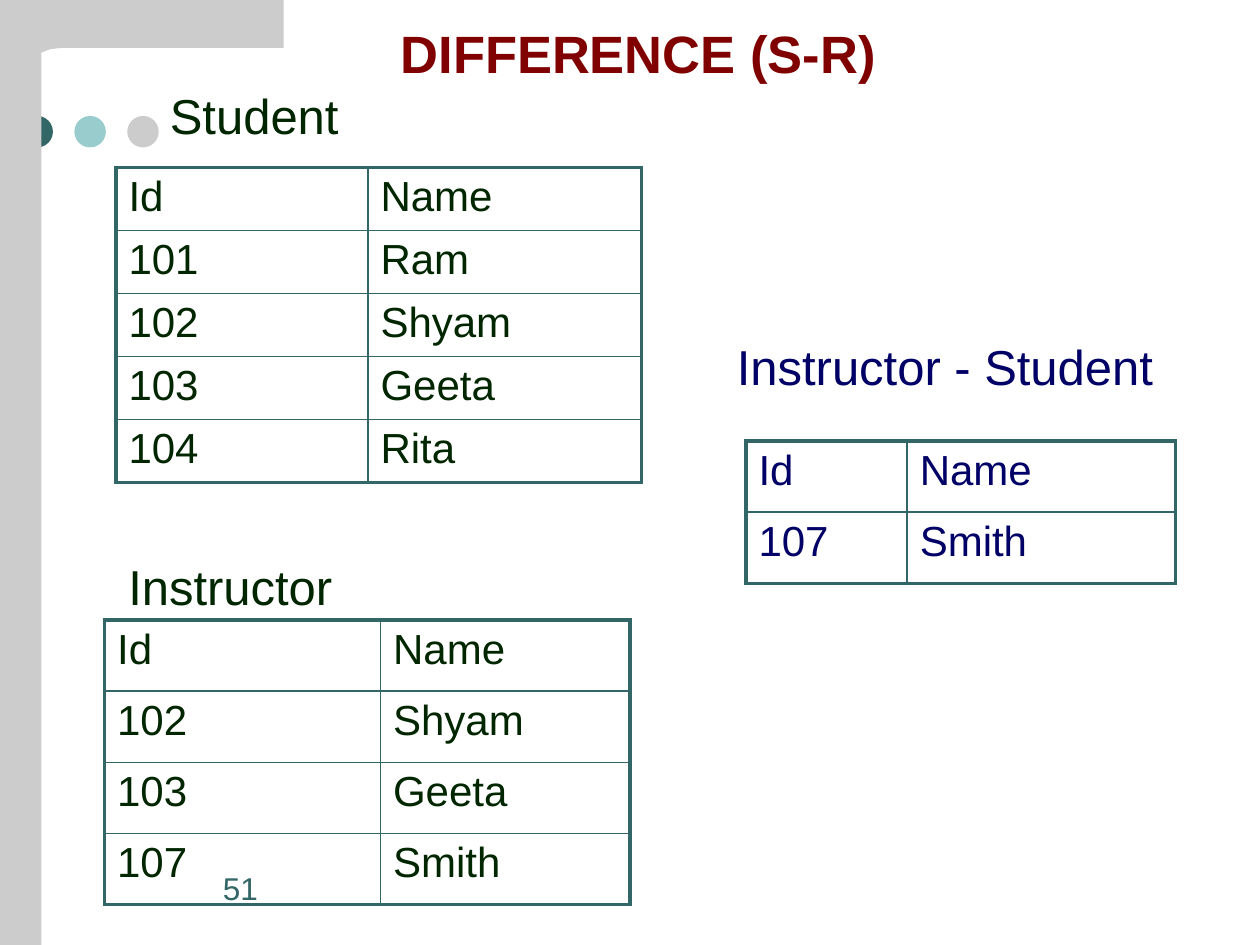
from lxml.etree import SubElement
from pptx import Presentation
from pptx.dml.color import RGBColor
from pptx.enum.shapes import MSO_SHAPE
from pptx.enum.text import MSO_ANCHOR, PP_ALIGN
from pptx.oxml.ns import qn
from pptx.util import Inches, Pt

TEAL, GRAY, GREEN, NAVY, MAROON = "336666", "CCCCCC", "002600", "000066", "800000"

TITLE = ("DIFFERENCE (S-R)", (3.08, 0.12, 4.17, 0.6))
LABELS = [
    ("Student", (1.25, 0.63, 2.64, 0.57), GREEN, 28),
    ("Instructor", (0.92, 4.37, 2.64, 0.57), GREEN, 28),
    ("Instructor - Student", (5.75, 2.62, 3.75, 0.57), NAVY, 28),
    ("51", (1.67, 6.85, 1.42, 0.5), TEAL, 18),
]
HEADER = ("Id", "Name")
TABLES = [
    {"at": (5.92, 3.5), "columns": (1.28, 2.13), "row": 0.565, "color": NAVY,
     "rows": [HEADER, ("107", "Smith")]},
    {"at": (0.92, 1.33), "columns": (2, 2.17), "row": 0.5, "color": GREEN,
     "rows": [HEADER, ("101", "Ram"), ("102", "Shyam"), ("103", "Geeta"), ("104", "Rita")]},
    {"at": (0.83, 4.92), "columns": (2.19, 1.98), "row": 0.565, "color": GREEN,
     "rows": [HEADER, ("102", "Shyam"), ("103", "Geeta"), ("107", "Smith")]},
]
DOT_COLORS = (TEAL, "99CCCC", GRAY)
CORNER = [(2.25, 0), (2.25, 0.38), (0.49, 0.38), (0.4, 0.39), (0.32, 0.42),
          (0.27, 0.47), (0.25, 0.53), (0.25, 0.58), (0, 0.58), (0, 0)]


def rgb(color):
    """Turn a hex string into a color."""
    return RGBColor.from_string(color)


def write(frame, text, size=24, color=GREEN, bold=False):
    """Fill a text frame with one formatted paragraph."""
    frame.word_wrap = True
    frame.vertical_anchor = MSO_ANCHOR.TOP
    paragraph = frame.paragraphs[0]
    paragraph.alignment = PP_ALIGN.LEFT
    run = paragraph.add_run()
    run.text = text
    run.font.name = "Arial"
    run.font.size = Pt(size)
    run.font.bold = bold
    run.font.color.rgb = rgb(color)


def paint(shape, color):
    """Give a shape a flat fill without line or shadow."""
    shape.shadow.inherit = False
    shape.fill.solid()
    shape.fill.fore_color.rgb = rgb(color)
    shape.line.fill.background()


def add_decoration(slide):
    """Draw the dots, the side bar and the rounded corner."""
    for index, color in enumerate(DOT_COLORS):
        box = (0.17 + 0.42 * index, 0.92, 0.25, 0.25)
        paint(slide.shapes.add_shape(MSO_SHAPE.OVAL, *map(Inches, box)), color)
    bar = slide.shapes.add_shape(MSO_SHAPE.RECTANGLE, 0, 0, Inches(0.33), Inches(7.5))
    paint(bar, GRAY)
    builder = slide.shapes.build_freeform(*map(Inches, CORNER[0]))
    builder.add_line_segments([tuple(map(Inches, point)) for point in CORNER[1:]])
    paint(builder.convert_to_shape(), GRAY)


def set_borders(cell, outer):
    """Draw thick outer and thin inner cell borders."""
    properties = cell._tc.get_or_add_tcPr()
    for position, side in enumerate(("lnL", "lnR", "lnT", "lnB")):
        line = SubElement(properties, qn("a:" + side))
        line.set("w", str(Pt(2.25 if side in outer else 1)))
        SubElement(SubElement(line, qn("a:solidFill")), qn("a:srgbClr")).set("val", TEAL)
        properties.remove(line)
        properties.insert(position, line)


def add_grid(slide, at, columns, row, color, rows):
    """Add one bordered table."""
    box = (*at, sum(columns), row * len(rows))
    table = slide.shapes.add_table(len(rows), len(columns), *map(Inches, box)).table
    for column, width in zip(table.columns, columns):
        column.width = Inches(width)
    for row_index, values in enumerate(rows):
        table.rows[row_index].height = Inches(row)
        for column_index, value in enumerate(values):
            cell = table.cell(row_index, column_index)
            cell.fill.background()
            write(cell.text_frame, value, color=color)
            edges = {"lnL": column_index == 0, "lnR": column_index == len(columns) - 1,
                     "lnT": row_index == 0, "lnB": row_index == len(rows) - 1}
            set_borders(cell, [side for side, is_outer in edges.items() if is_outer])


def main():
    """Build and save the slide."""
    presentation = Presentation()
    presentation.slide_width, presentation.slide_height = Inches(10), Inches(7.5)
    slide = presentation.slides.add_slide(presentation.slide_layouts[5])
    add_decoration(slide)
    for table in TABLES:
        add_grid(slide, **table)
    for text, box, color, size in LABELS:
        label = slide.shapes.add_textbox(*map(Inches, box))
        write(label.text_frame, text, size=size, color=color)
    text, box = TITLE
    title = slide.shapes.title
    title.left, title.top, title.width, title.height = map(Inches, box)
    write(title.text_frame, text, size=30, color=MAROON, bold=True)
    presentation.save("out.pptx")


if __name__ == "__main__":
    main()
